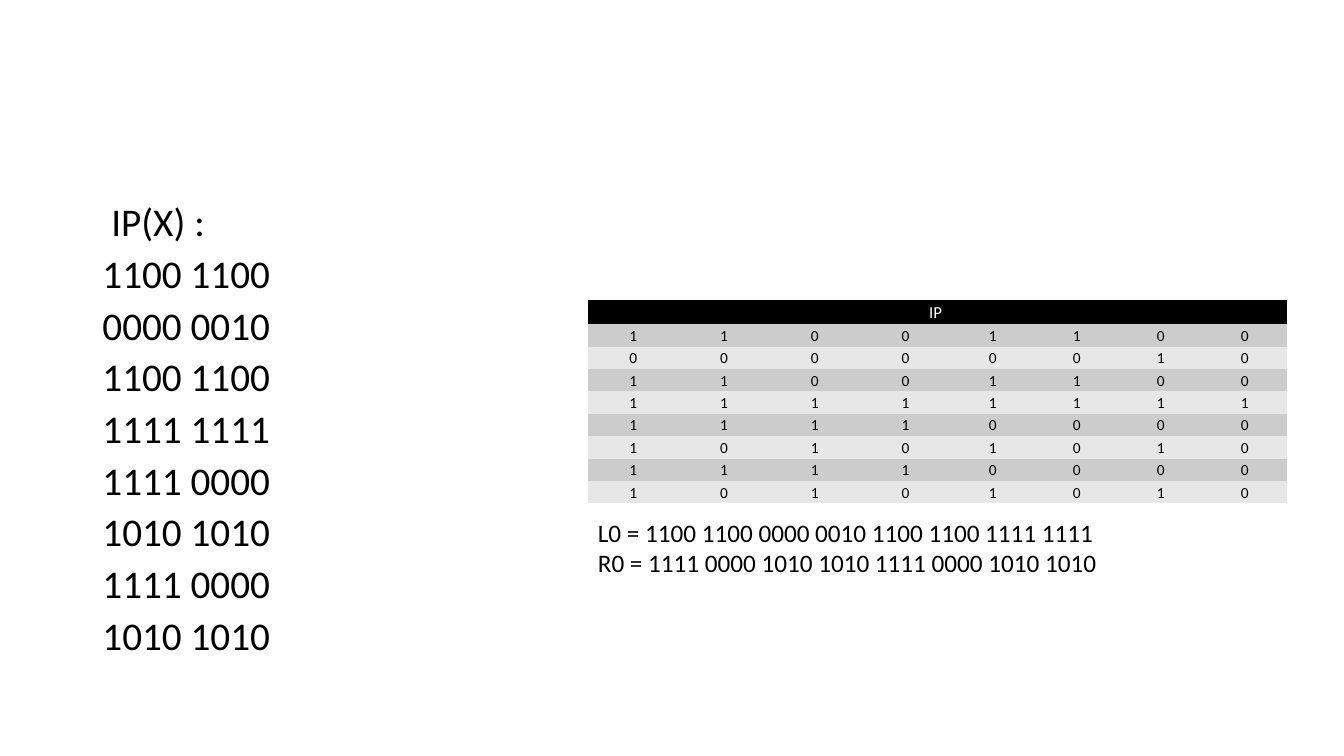
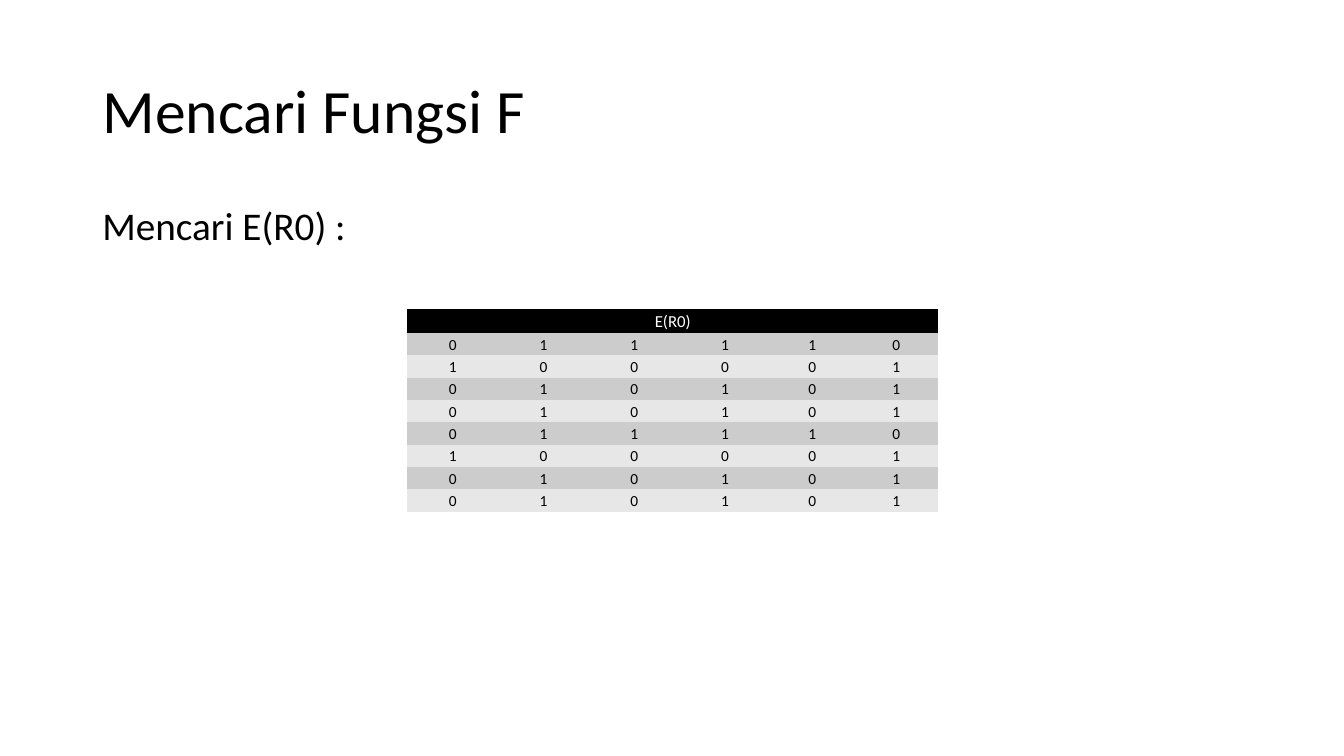
from pptx import Presentation
from pptx.dml.color import RGBColor
from pptx.enum.text import MSO_ANCHOR, MSO_AUTO_SIZE, PP_ALIGN
from pptx.oxml.ns import qn
from pptx.util import Inches, Pt

COLORS = {"text": "000000", "head": "000000", "head_text": "FFFFFF",
          "odd": "CCCCCC", "even": "E7E7E7"}
FONT = "Calibri"
UNIT = Inches(1 / 12)  # the slide is a grid of 160 columns by 90 rows
TITLE_BOX = (11, 4.8, 138, 17.4)
BODY_BOX = (11, 24, 138, 57)
WIDE, NARROW = 10.8, 10
HEAD_ROW, BIT_ROW = Inches(0.24), Inches(0.22)
NO_GRID_STYLE = "{2D5ABB26-0587-4C30-8999-92F81FD0307C}"

IP_ROWS = ["11001100", "00000010", "11001100", "11111111",
           "11110000", "10101010", "11110000", "10101010"]


def grid(*cells):
    return [round(c * UNIT) for c in cells]


def nibbles(bits):
    return [bits[i:i + 4] for i in range(0, len(bits), 4)]


def spaced(bits):
    return " ".join(nibbles(bits))


def expand(bits):
    """Frame each nibble with its neighbouring bits, wrapping at the ends."""
    n = len(bits)
    return [bits[i - 1] + bits[i:i + 4] + bits[(i + 4) % n]
            for i in range(0, n, 4)]


def style(p, size, color="text", align=PP_ALIGN.LEFT, leading=None, before=0):
    p.font.name, p.font.size, p.font.bold = FONT, Pt(size), False
    p.font.color.rgb = RGBColor.from_string(COLORS[color])
    p.alignment, p.space_before = align, Pt(before)
    if leading:
        p.line_spacing = leading


def write(tf, lines, size, **look):
    tf.word_wrap = True
    tf.auto_size = MSO_AUTO_SIZE.NONE
    tf.text = "\n".join(lines)
    for p in tf.paragraphs:
        style(p, size, **look)


def set_up_layout(prs):
    layout = prs.slide_layouts[1]
    for ph, box in zip(layout.placeholders, (TITLE_BOX, BODY_BOX)):
        ph.left, ph.top, ph.width, ph.height = grid(*box)
    return layout


def add_title(s, text=None):
    title = s.shapes.title
    if text is None:
        title.element.getparent().remove(title.element)
        return
    title.text_frame.vertical_anchor = MSO_ANCHOR.MIDDLE
    write(title.text_frame, [text], 44, leading=0.9)


def add_body(s, lines, leading):
    tf = s.placeholders[1].text_frame
    write(tf, lines, 28, leading=leading, before=10)
    for p in tf.paragraphs:
        pPr = p._p.get_or_add_pPr()
        pPr.set("marL", "0")
        pPr.set("indent", "0")
        pPr.insert_element_before(pPr.makeelement(qn("a:buNone"), {}),
                                  "a:tabLst", "a:defRPr", "a:extLst")


def fill_cell(cell, text, size, fill, color="text"):
    cell.margin_left = cell.margin_right = Inches(0.01)
    cell.margin_top = cell.margin_bottom = Inches(0.01)
    cell.vertical_anchor = MSO_ANCHOR.MIDDLE
    cell.fill.solid()
    cell.fill.fore_color.rgb = RGBColor.from_string(COLORS[fill])
    cell.text = text
    style(cell.text_frame.paragraphs[0], size, color, PP_ALIGN.CENTER, 1.07)


def add_bit_table(s, left, top, heading, rows):
    """Place a heading across a grid of bits; columns after the fourth are narrower."""
    widths = [WIDE if c < 4 else NARROW for c in range(len(rows[0]))]
    x, y, w = grid(left, top, sum(widths))
    table = s.shapes.add_table(len(rows) + 1, len(widths), x, y, w,
                               HEAD_ROW + BIT_ROW * len(rows)).table
    table._tbl.tblPr.find(qn("a:tableStyleId")).text = NO_GRID_STYLE
    for col, width in zip(table.columns, grid(*widths)):
        col.width = width
    for r, row in enumerate(table.rows):
        row.height = BIT_ROW if r else HEAD_ROW
    table.cell(0, 0).merge(table.cell(0, len(widths) - 1))
    fill_cell(table.cell(0, 0), heading, 12, "head", "head_text")
    for r, bits in enumerate(rows, 1):
        for c, bit in enumerate(bits):
            fill_cell(table.cell(r, c), bit, 11, "odd" if r % 2 else "even")


def add_permutation_slide(prs, layout, left, right):
    s = prs.slides.add_slide(layout)
    add_title(s)
    add_body(s, [" IP(X) :"] + [spaced(row) for row in IP_ROWS], 0.8)
    add_bit_table(s, 70, 35.75, "IP ", IP_ROWS)
    halves = s.shapes.add_textbox(*grid(70, 61, 83, 12))
    write(halves.text_frame,
          [f"L0 = {spaced(left)}", f"R0 = {spaced(right)}"], 18)


def add_expansion_slide(prs, layout, right):
    s = prs.slides.add_slide(layout)
    add_title(s, "Mencari Fungsi F")
    add_body(s, ["Mencari E(R0) :"], 0.9)
    add_bit_table(s, 48.5, 36.75, "E(R0)", expand(right))


def main():
    prs = Presentation()
    prs.slide_width, prs.slide_height = grid(160, 90)
    layout = set_up_layout(prs)
    left, right = "".join(IP_ROWS[:4]), "".join(IP_ROWS[4:])
    add_permutation_slide(prs, layout, left, right)
    add_expansion_slide(prs, layout, right)
    prs.save("out.pptx")


if __name__ == "__main__":
    main()
